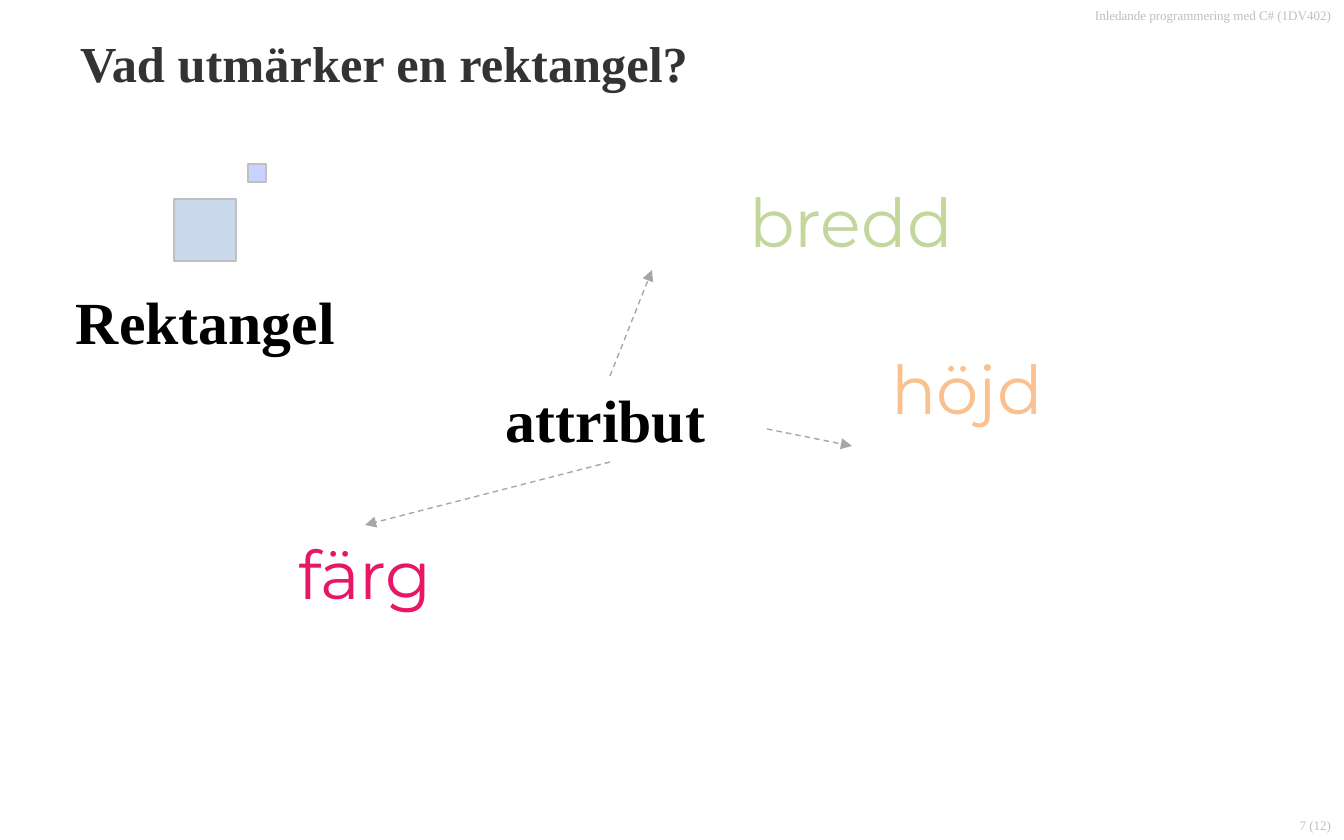
import dataclasses

import pptx
import pptx.dml.color
import pptx.enum.dml
import pptx.enum.shapes
import pptx.enum.text
import pptx.oxml
import pptx.oxml.ns
import pptx.util

EMU_PER_PIXEL = 914400 / 134.4
SERIF = "Times New Roman"
ROUNDED = "Montserrat"
ALIGN = pptx.enum.text.PP_ALIGN
ANCHOR = pptx.enum.text.MSO_ANCHOR
COLORS = {
    "title": "333333",
    "black": "000000",
    "footer": "BFBFBF",
    "width": "C3D69B",
    "height": "FAC090",
    "color": "E81766",
    "large square": "4F81BD",
    "small square": "3366FF",
    "square border": "C0C0C0",
    "arrow": "A6A6A6",
}


@dataclasses.dataclass
class Label:
    """A text with its box in pixels and its look."""
    text: str
    box: tuple[int, int, int, int]
    size: int
    font: str
    color: str
    bold: bool = False
    align: ALIGN = ALIGN.LEFT
    anchor: ANCHOR = ANCHOR.TOP
    wrap: bool = False
    margins: tuple[int, int, int, int] = (13, 7, 13, 7)


@dataclasses.dataclass
class Square:
    """A translucent square, in pixels."""
    left: int
    top: int
    side: int
    color: str
    opacity: int


@dataclasses.dataclass
class Arrow:
    """A dashed arrow between two points in pixels."""
    start: tuple[int, int]
    end: tuple[int, int]


TITLE = Label("Vad utmärker en rektangel?", (67, 15, 1210, 87), 27, SERIF, "title",
              bold=True, wrap=True, margins=(13, 17, 13, 7))
LABELS = [
    Label("7 (12)", (1120, 810, 224, 30), 7, SERIF, "footer",
          align=ALIGN.RIGHT, anchor=ANCHOR.BOTTOM, wrap=True),
    Label("Inledande programmering med C# (1DV402)", (728, 0, 616, 46), 7, SERIF, "footer",
          align=ALIGN.RIGHT, wrap=True),
    Label("Rektangel", (63, 278, 289, 86), 32, SERIF, "black", bold=True),
    Label("bredd", (407, 173, 888, 71), 36, ROUNDED, "width", align=ALIGN.CENTER),
    Label("höjd", (883, 340, 168, 441), 36, ROUNDED, "height", align=ALIGN.CENTER),
    Label("färg", (227, 525, 276, 159), 36, ROUNDED, "color", align=ALIGN.CENTER),
    Label("attribut", (493, 376, 234, 86), 32, SERIF, "black", bold=True),
]
SQUARES = [
    Square(174, 199, 62, "large square", 30),
    Square(248, 164, 18, "small square", 28),
]
ARROWS = [
    Arrow((610, 376), (652, 270)),
    Arrow((610, 462), (365, 525)),
    Arrow((767, 429), (852, 446)),
]


def emu(*pixels: int) -> list[int]:
    """Turn pixels into EMU."""
    return [round(pixel * EMU_PER_PIXEL) for pixel in pixels]


def rgb(name: str) -> pptx.dml.color.RGBColor:
    """Look up a colour by name."""
    return pptx.dml.color.RGBColor.from_string(COLORS[name])


def apply(target, values: dict) -> None:
    """Set every attribute in values on target."""
    for name, value in values.items():
        setattr(target, name, value)


def element(tag: str, **attributes):
    """Make a drawing element with the given attributes."""
    node = pptx.oxml.parse_xml(f"<a:{tag} {pptx.oxml.ns.nsdecls('a')}/>")
    for name, value in attributes.items():
        node.set(name, value)
    return node


def write_label(shape, label: Label) -> None:
    """Place a text shape and write its formatted text."""
    apply(shape, dict(zip(("left", "top", "width", "height"), emu(*label.box))))
    frame = shape.text_frame
    sides = ("margin_left", "margin_top", "margin_right", "margin_bottom")
    apply(frame, dict(zip(sides, emu(*label.margins))))
    apply(frame, {"word_wrap": label.wrap, "vertical_anchor": label.anchor,
                  "auto_size": pptx.enum.text.MSO_AUTO_SIZE.NONE})
    paragraph = frame.paragraphs[0]
    paragraph.alignment = label.align
    run = paragraph.add_run()
    run.text = label.text
    apply(run.font, {"name": label.font, "size": pptx.util.Pt(label.size), "bold": label.bold})
    run.font.color.rgb = rgb(label.color)


def draw_square(slide, square: Square) -> None:
    """Draw a translucent square with a thin border."""
    shape = slide.shapes.add_shape(pptx.enum.shapes.MSO_SHAPE.RECTANGLE,
                                   *emu(square.left, square.top, square.side, square.side))
    shape.shadow.inherit = False
    shape.fill.solid()
    shape.fill.fore_color.rgb = rgb(square.color)
    color = shape.fill._xPr.find(".//" + pptx.oxml.ns.qn("a:srgbClr"))
    color.append(element("alpha", val=str(square.opacity * 1000)))
    shape.line.color.rgb = rgb("square border")
    shape.line.width = pptx.util.Pt(0.75)


def draw_arrow(slide, arrow: Arrow) -> None:
    """Draw a dashed line with a triangle at its end."""
    connector = slide.shapes.add_connector(pptx.enum.shapes.MSO_CONNECTOR.STRAIGHT,
                                           *emu(*arrow.start, *arrow.end))
    line = connector.line
    line.color.rgb = rgb("arrow")
    apply(line, {"width": pptx.util.Pt(0.75),
                 "dash_style": pptx.enum.dml.MSO_LINE_DASH_STYLE.DASH})
    line._get_or_add_ln().append(element("tailEnd", type="triangle"))
    connector._element.spPr.append(element("effectLst"))


def main() -> None:
    """Build and save the slide."""
    presentation = pptx.Presentation()
    width, height = emu(1344, 840)
    apply(presentation, {"slide_width": width, "slide_height": height})
    slide = presentation.slides.add_slide(presentation.slide_layouts[5])
    write_label(slide.shapes.title, TITLE)
    for square in SQUARES:
        draw_square(slide, square)
    for label in LABELS:
        write_label(slide.shapes.add_textbox(*emu(*label.box)), label)
    for arrow in ARROWS:
        draw_arrow(slide, arrow)
    presentation.save("out.pptx")


main()
